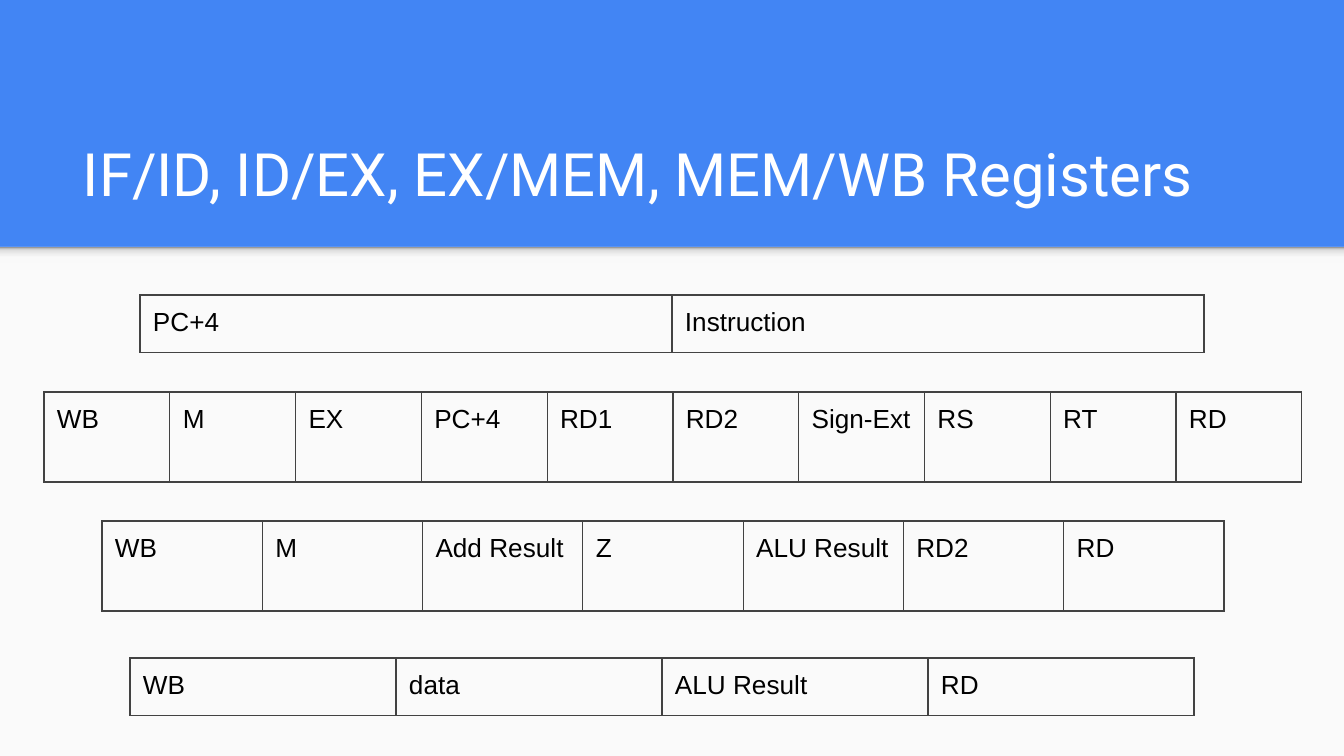
from lxml.etree import SubElement
from pptx import Presentation
from pptx.dml.color import RGBColor
from pptx.enum.shapes import MSO_SHAPE
from pptx.enum.text import MSO_ANCHOR
from pptx.oxml import parse_xml
from pptx.oxml.ns import nsdecls, qn
from pptx.util import Emu, Pt

COLORS = {
    "header": "4285F4",
    "body": "FAFAFA",
    "title": "FFFFFF",
    "text": "000000",
    "border": "424242",
    "first_border": "434343",
}
SHADOW_STOPS = [(0, "F9F9F9"), (36, "F9F9F9"), (80, "DEDEDE"), (100, "999999")]
INSET = 13
REGISTERS = [
    ((44, 392, 1258, 90), "border",
     ["WB", "M", "EX", "PC+4", "RD1", "RD2", "Sign-Ext", "RS", "RT", "RD"]),
    ((102, 521, 1122, 90), "border",
     ["WB", "M", "Add Result", "Z", "ALU Result", "RD2", "RD"]),
    ((130, 658, 1064, 57), "border", ["WB", "data", "ALU Result", "RD"]),
    ((140, 295, 1064, 57), "first_border", ["PC+4", "Instruction"]),
]


def px(length):
    return Emu(round(length * 914400 / 134.4))


def color(name):
    return RGBColor.from_string(COLORS[name])


def add_span(para, text, size, font, color_name):
    span = para.add_run()
    span.text = text
    span.font.size = Pt(size)
    span.font.name = font
    span.font.bold = False
    span.font.color.rgb = color(color_name)


def set_margins(target):
    target.margin_left = target.margin_right = px(INSET)
    target.margin_top = target.margin_bottom = px(INSET)


def add_rectangle(page, box):
    shape = page.shapes.add_shape(MSO_SHAPE.RECTANGLE, *map(px, box))
    shape.shadow.inherit = False
    shape.line.fill.background()
    return shape


def add_body(page, box):
    left, top, width, height = box
    panel = add_rectangle(page, box)
    panel.fill.solid()
    panel.fill.fore_color.rgb = color("body")

    edge = add_rectangle(page, (left, top, width, 16))
    edge.fill.gradient()
    stops = "".join(
        f'<a:gs pos="{position * 1000}"><a:srgbClr val="{shade}"/></a:gs>'
        for position, shade in SHADOW_STOPS
    )
    gradient = parse_xml(
        f'<a:gradFill {nsdecls("a")}><a:gsLst>{stops}</a:gsLst>'
        '<a:lin ang="16200000" scaled="0"/></a:gradFill>'
    )
    properties = edge.element.spPr
    properties.replace(properties.find(qn("a:gradFill")), gradient)


def add_title(page, box, text):
    frame = page.shapes.add_textbox(*map(px, box)).text_frame
    frame.word_wrap = True
    frame.vertical_anchor = MSO_ANCHOR.BOTTOM
    set_margins(frame)
    add_span(frame.paragraphs[0], text, 32, "Roboto", "title")


def add_borders(cell, color_name):
    properties = cell._tc.get_or_add_tcPr()
    for side in ("a:lnL", "a:lnR", "a:lnT", "a:lnB"):
        line = SubElement(properties, qn(side), w=str(Pt(0.75)))
        fill = SubElement(line, qn("a:solidFill"))
        SubElement(fill, qn("a:srgbClr"), val=COLORS[color_name])


def add_register(page, box, border, fields):
    left, top, width, height = map(px, box)
    table = page.shapes.add_table(1, len(fields), left, top, width, height).table
    table.first_row = False
    table.horz_banding = False
    for column, field in zip(table.columns, fields):
        column.width = width // len(fields)
    for cell, field in zip(table.rows[0].cells, fields):
        set_margins(cell)
        add_borders(cell, border)
        cell.fill.background()
        add_span(cell.text_frame.paragraphs[0], field, 14, "Arial", "text")


def main():
    deck = Presentation()
    deck.slide_width = px(1344)
    deck.slide_height = px(756)
    page = deck.slides.add_slide(deck.slide_layouts[6])
    page.background.fill.solid()
    page.background.fill.fore_color.rgb = color("header")
    add_body(page, (0, 247, 1344, 509))
    add_title(page, (70, 109, 1208, 113), "IF/ID, ID/EX, EX/MEM, MEM/WB Registers")
    for box, border, fields in REGISTERS:
        add_register(page, box, border, fields)
    deck.save("out.pptx")


if __name__ == "__main__":
    main()
